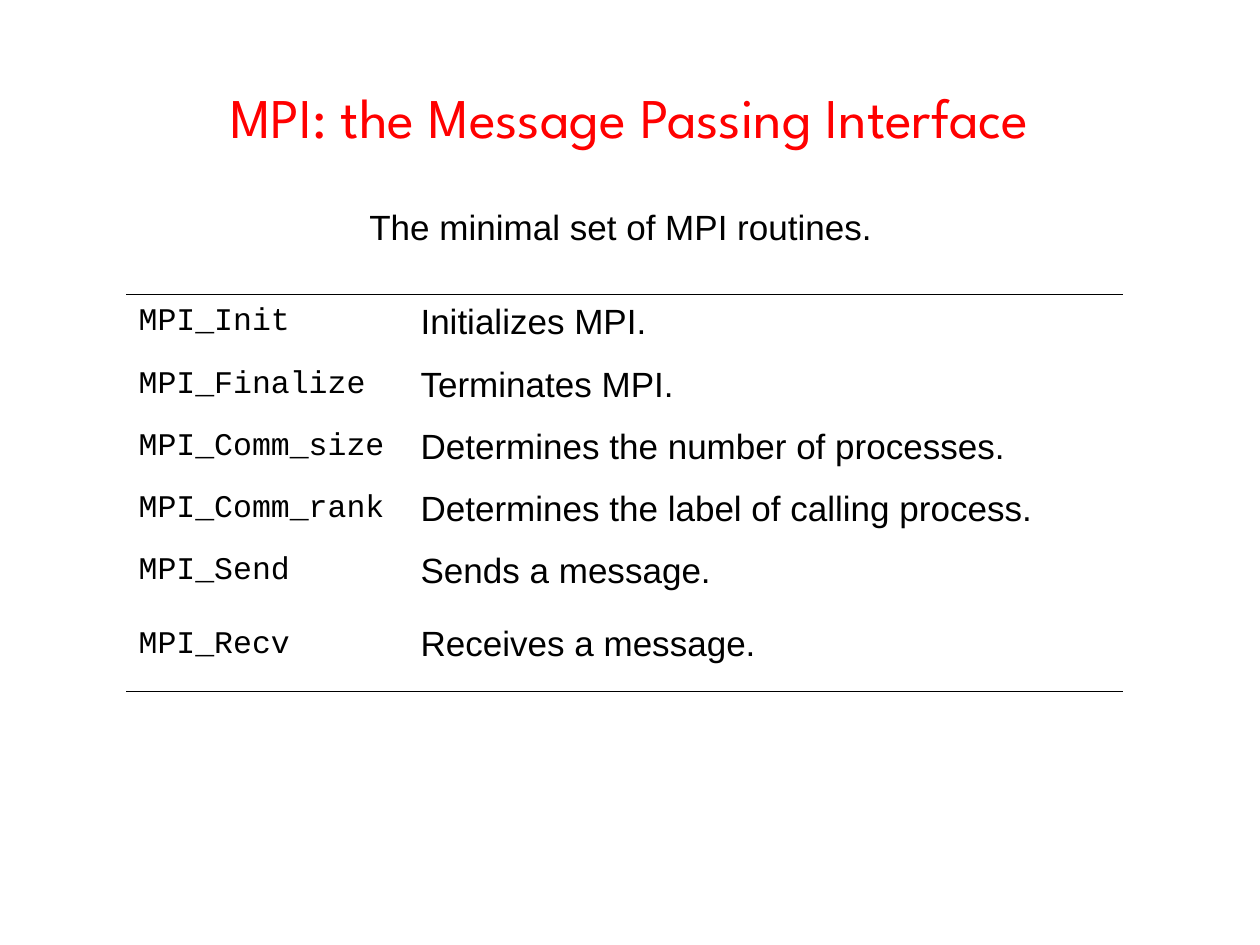
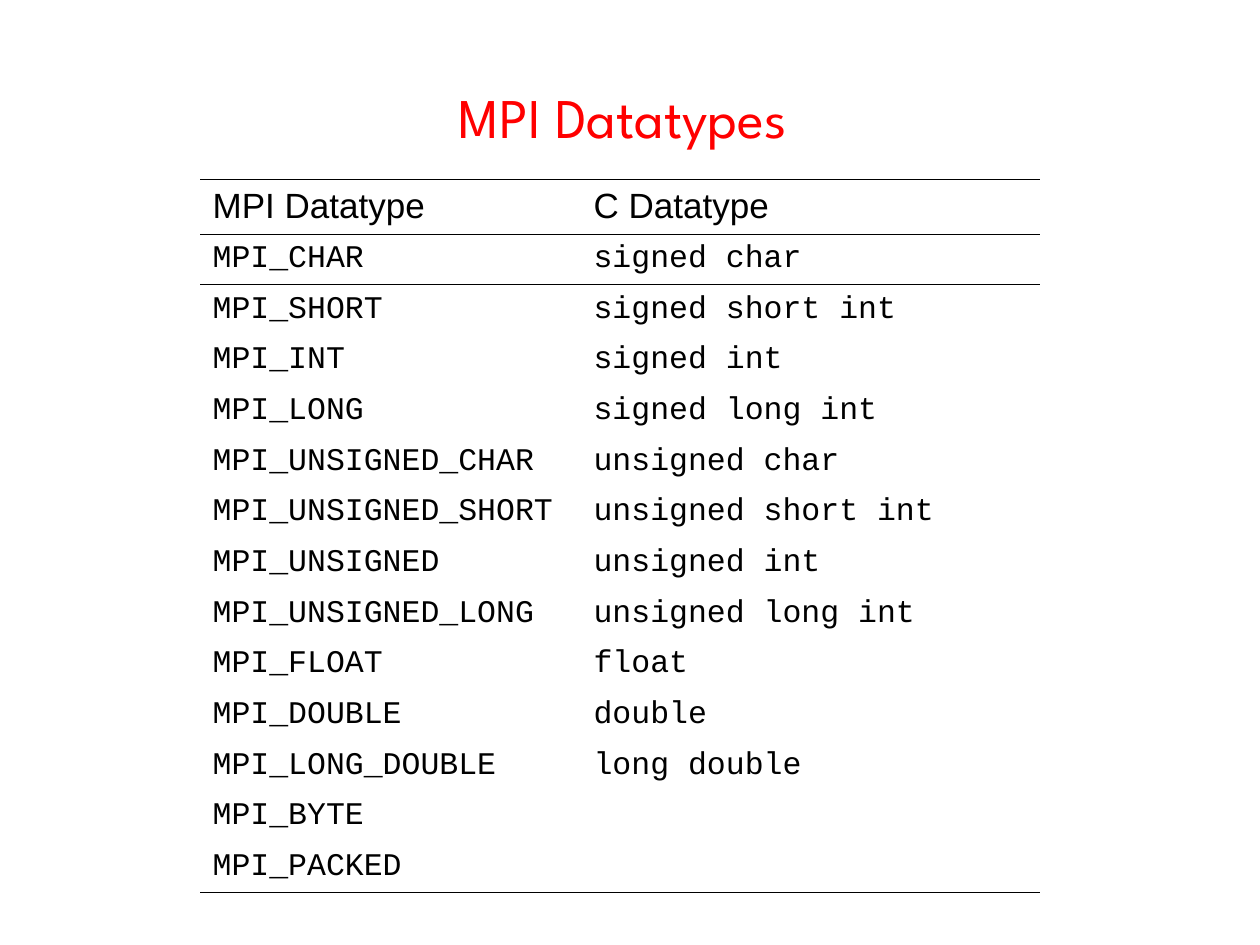
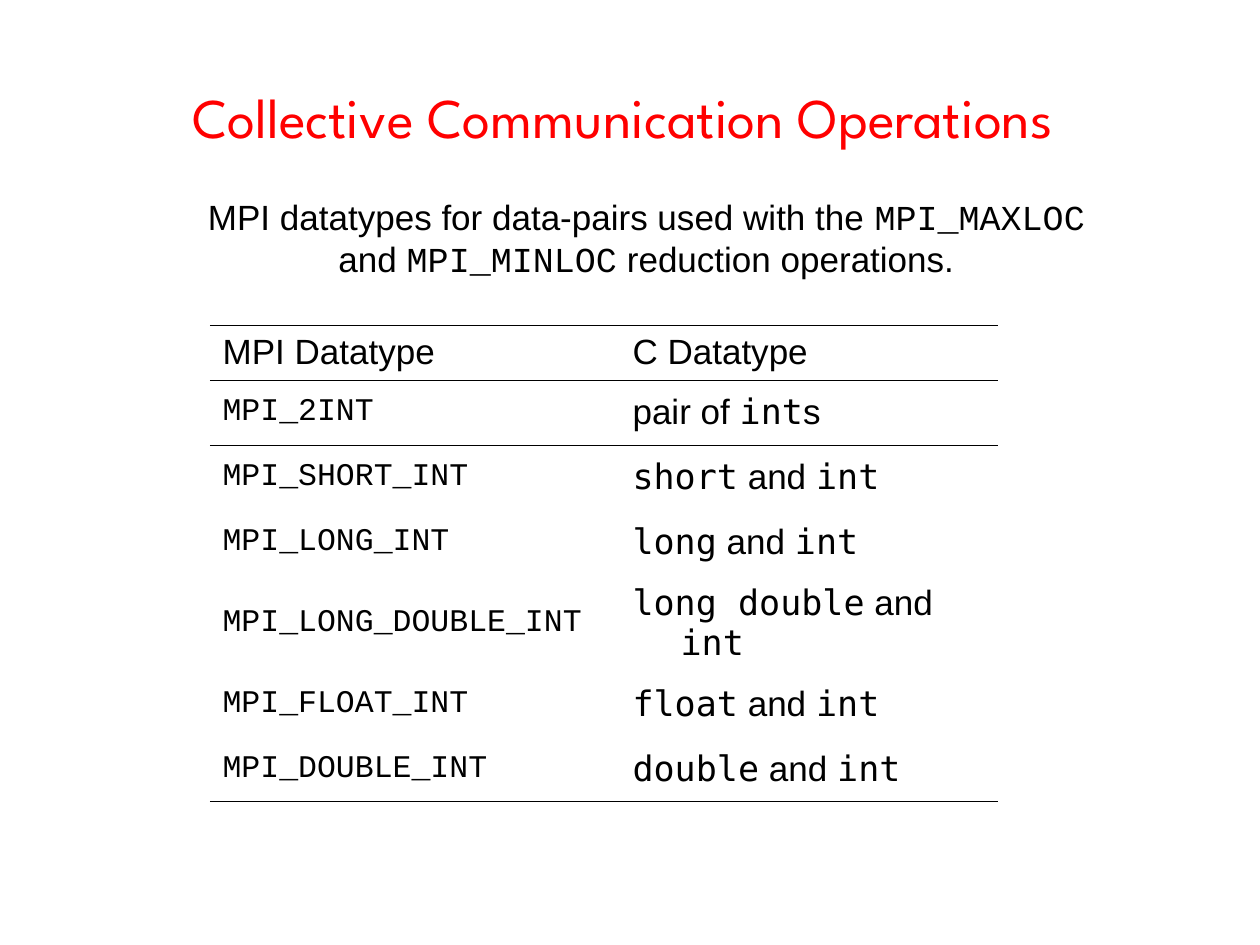
from lxml.etree import SubElement
from pptx import Presentation
from pptx.dml.color import RGBColor
from pptx.enum.text import MSO_ANCHOR, PP_ALIGN
from pptx.oxml import parse_xml
from pptx.oxml.ns import nsdecls, qn
from pptx.util import Emu, Pt

PX = 914400 // 126
RED = RGBColor(0xFF, 0x00, 0x00)
BLACK = RGBColor(0x00, 0x00, 0x00)
TITLE_FONT = "League Spartan"
TEXT_FONT = "Arial"
CODE_FONT = "Courier New"
INLINE_CODE_FONT = "DejaVu Sans Mono"
PLAIN_STYLE = "{2D5ABB26-0587-4C30-8999-92F81FD0307C}"
RULE_WIDTH = Pt(0.45)
HANGING = 48
TITLE_ONLY = 5

# A column style is (font, size of the text).
TEXT = (TEXT_FONT, 20)
CODE = (CODE_FONT, 18)

ROUTINES = [
    ("MPI_Init", "Initializes MPI."),
    ("MPI_Finalize", "Terminates MPI."),
    ("MPI_Comm_size", "Determines the number of processes."),
    ("MPI_Comm_rank", "Determines the label of calling process."),
    ("MPI_Send", "Sends a message."),
    ("MPI_Recv", "Receives a message."),
]
HEADER = ("MPI Datatype", "C Datatype")
DATATYPES = [
    ("MPI_CHAR", "signed char"),
    ("MPI_SHORT", "signed short int"),
    ("MPI_INT", "signed int"),
    ("MPI_LONG", "signed long int"),
    ("MPI_UNSIGNED_CHAR", "unsigned char"),
    ("MPI_UNSIGNED_SHORT", "unsigned short int"),
    ("MPI_UNSIGNED", "unsigned int"),
    ("MPI_UNSIGNED_LONG", "unsigned long int"),
    ("MPI_FLOAT", "float"),
    ("MPI_DOUBLE", "double"),
    ("MPI_LONG_DOUBLE", "long double"),
    ("MPI_BYTE", ""),
    ("MPI_PACKED", ""),
]
PAIR_TYPES = [
    ("MPI_2INT", "pair of `int`s"),
    ("MPI_SHORT_INT", "`short` and `int`"),
    ("MPI_LONG_INT", "`long` and `int`"),
    ("MPI_LONG_DOUBLE_INT", "`long double` and `int`"),
    ("MPI_FLOAT_INT", "`float` and `int`"),
    ("MPI_DOUBLE_INT", "`double` and `int`"),
]


def px(length):
    return Emu(round(length * PX))


def write(paragraph, text, style, code_font=INLINE_CODE_FONT):
    """Fill a paragraph; words between backticks are set in code_font."""
    font, size = style
    paragraph.font.size = Pt(size)
    paragraph.font.color.rgb = BLACK
    parts = text.split("`")
    if len(parts) == 1:
        paragraph.font.name = font
    for index, part in enumerate(parts):
        if part:
            run = paragraph.add_run()
            run.text = part
            if len(parts) > 1:
                run.font.name = code_font if index % 2 else font


def add_titled_slide(presentation, title):
    slide = presentation.slides.add_slide(presentation.slide_layouts[TITLE_ONLY])
    slide.shapes.title.text = title
    font = slide.shapes.title.text_frame.paragraphs[0].font
    font.name = TITLE_FONT
    font.size = Pt(32)
    font.color.rgb = RED
    return slide


def add_caption(slide, text, box, alignment=PP_ALIGN.LEFT, wrap=True):
    frame = slide.shapes.add_textbox(*map(px, box)).text_frame
    frame.word_wrap = wrap
    frame.paragraphs[0].alignment = alignment
    write(frame.paragraphs[0], text, TEXT, CODE_FONT)


def add_rule(cell, side):
    """Draw a thin border on a cell; side is lnT or lnB."""
    line = parse_xml(f'<a:{side} {nsdecls("a")} w="{RULE_WIDTH}"/>')
    color = SubElement(SubElement(line, qn("a:solidFill")), qn("a:srgbClr"))
    color.set("val", str(BLACK))
    cell._tc.get_or_add_tcPr().insert(0, line)


def fill_cell(cell, text, style):
    cell.fill.background()
    cell.vertical_anchor = MSO_ANCHOR.MIDDLE
    paragraph = cell.text_frame.paragraphs[0]
    properties = paragraph._p.get_or_add_pPr()
    properties.set("marL", str(px(HANGING)))
    properties.set("indent", str(-px(HANGING)))
    write(paragraph, text, style)


def add_ruled_table(slide, rows, left, top, widths, heights, styles, header=None):
    """Place a table with rules above, below and under its header."""
    all_rows = [header, *rows] if header else rows
    frame = slide.shapes.add_table(
        len(all_rows), len(widths),
        px(left), px(top), px(sum(widths)), px(sum(heights)))
    table = frame.table
    table.first_row = table.horz_banding = False
    table._tbl.tblPr.find(qn("a:tableStyleId")).text = PLAIN_STYLE
    for column, width in zip(table.columns, widths):
        column.width = px(width)
    last = len(all_rows) - 1
    for index, (texts, height) in enumerate(zip(all_rows, heights)):
        table.rows[index].height = px(height)
        is_header = bool(header) and index == 0
        for cell, text, style in zip(table.rows[index].cells, texts, styles):
            fill_cell(cell, text, TEXT if is_header else style)
            if is_header or index == last:
                add_rule(cell, "lnB")
            if index == 0 or (header and index == 1):
                add_rule(cell, "lnT")


def add_routines_slide(presentation):
    slide = add_titled_slide(presentation, "MPI: the Message Passing Interface")
    add_caption(slide, "The minimal set of MPI routines.", (357, 199, 528, 55),
                wrap=False)
    add_ruled_table(slide, ROUTINES, 126, 294, (282, 715),
                    [57, 69, 54, 69, 54, 93], (CODE, TEXT))


def add_datatypes_slide(presentation):
    slide = add_titled_slide(presentation, "MPI Datatypes ")
    body_height = 659
    row_height = body_height / len(DATATYPES)
    add_ruled_table(slide, DATATYPES, 200, 179, (381, 459),
                    [55] + [row_height] * len(DATATYPES), (CODE, CODE), HEADER)


def add_pair_types_slide(presentation):
    slide = add_titled_slide(presentation, "Collective Communication Operations ")
    add_caption(slide,
                "MPI datatypes for data-pairs used with the `MPI_MAXLOC`"
                " and `MPI_MINLOC` reduction operations.",
                (179, 189, 935, 97), PP_ALIGN.CENTER)
    add_ruled_table(slide, PAIR_TYPES, 210, 325, (410, 378),
                    [55, 65, 65, 65, 96, 65, 65], (CODE, TEXT), HEADER)


def main():
    presentation = Presentation()
    presentation.slide_width = px(1260)
    presentation.slide_height = px(945)
    add_routines_slide(presentation)
    add_datatypes_slide(presentation)
    add_pair_types_slide(presentation)
    presentation.save("out.pptx")


if __name__ == "__main__":
    main()
